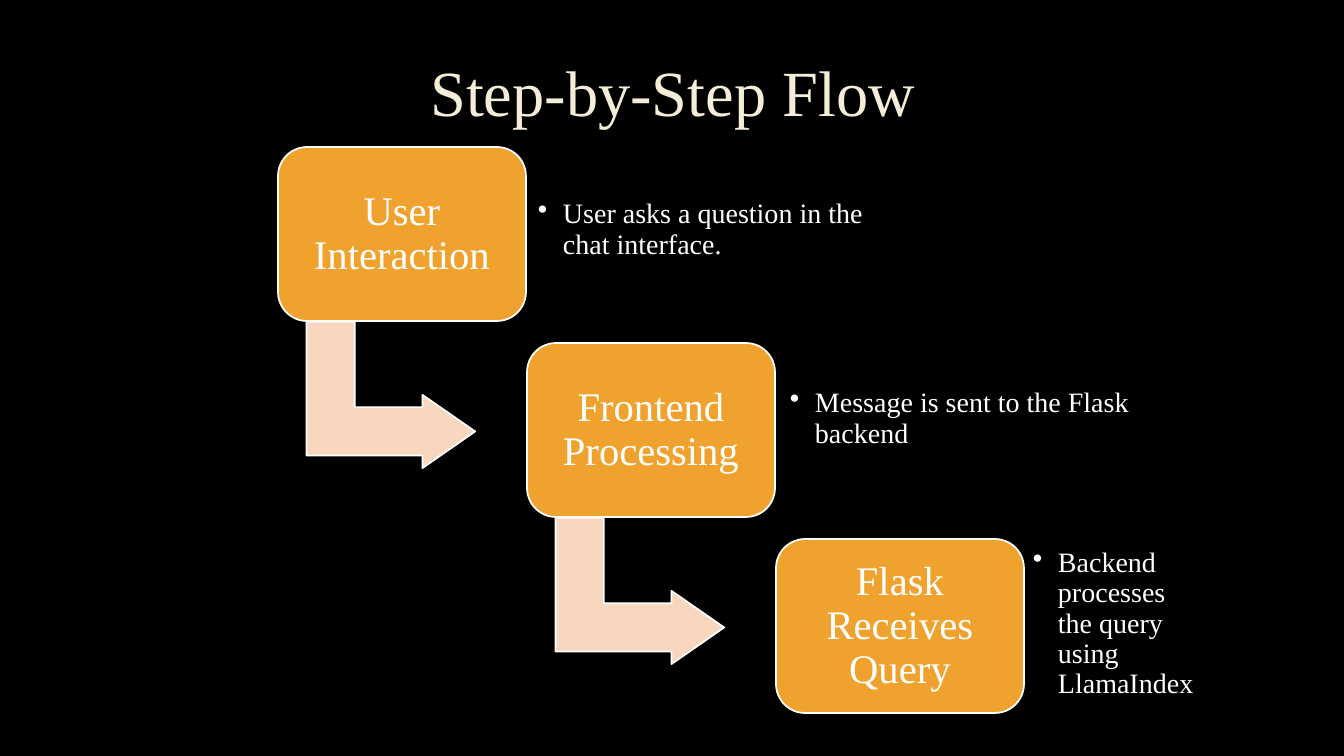
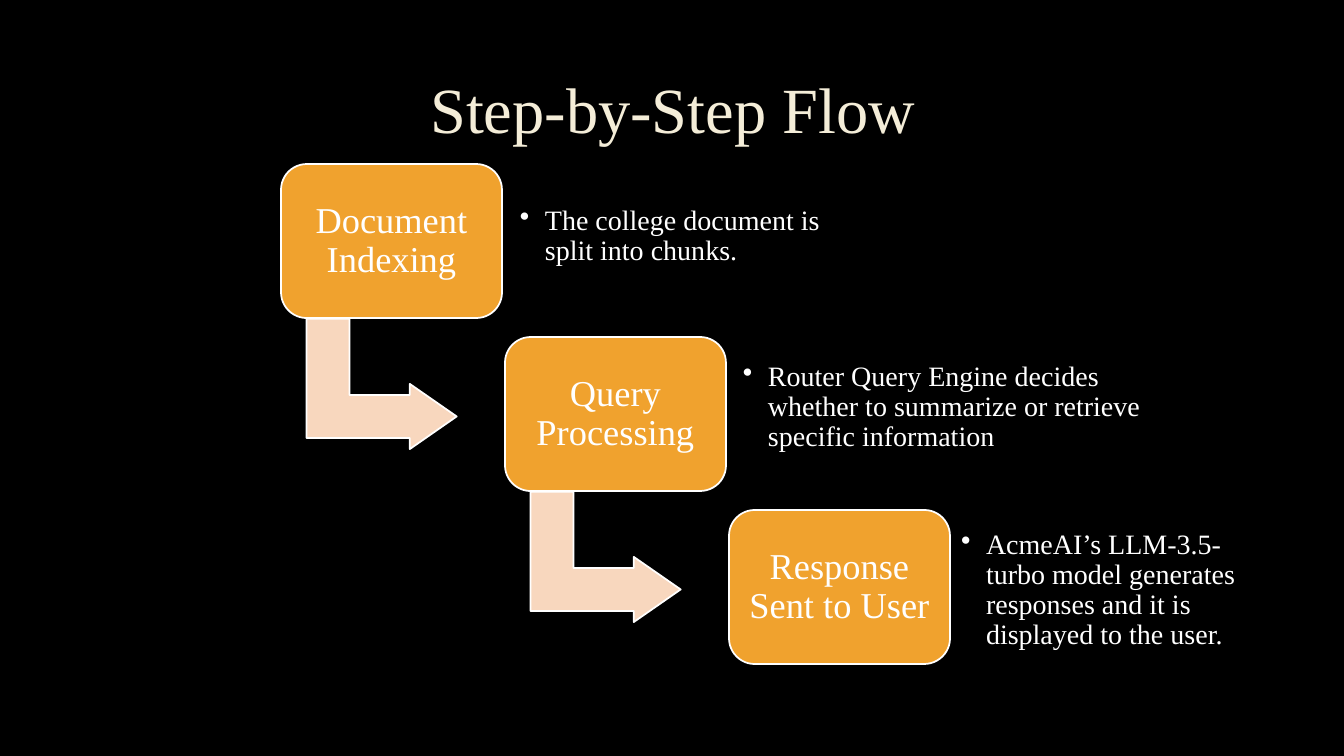
"""Build two step-down process slides."""
from lxml import etree
from pptx import Presentation
from pptx.dml.color import RGBColor
from pptx.enum.shapes import MSO_SHAPE
from pptx.enum.text import MSO_ANCHOR, PP_ALIGN
from pptx.oxml.ns import qn
from pptx.util import Pt

ROUNDED = MSO_SHAPE.ROUNDED_RECTANGLE
BENT_ARROW = MSO_SHAPE.BENT_UP_ARROW
MIDDLE = MSO_ANCHOR.MIDDLE
CENTER, LEFT = PP_ALIGN.CENTER, PP_ALIGN.LEFT

SLIDE_WIDTH, SLIDE_HEIGHT = 1344, 756
SCALE = 12192000 / SLIDE_WIDTH
FONT = "Times New Roman"
BLACK, WHITE, CREAM = "000000", "FFFFFF", "F4EDD8"
ORANGE, PEACH = "F0A22E", "F8D7BE"
TITLE = "Step-by-Step Flow"
TITLE_LEFT, TITLE_WIDTH, TITLE_HEIGHT = 102, 1141, 139
TITLE_SIZE, NOTE_SIZE = 46, 20
NOTE_INDENT = 25
BOX_ROUNDING = [0.167]
ARROW_BENDS = [0.33, 0.25, 0.36]
ARROW_WIDTH, ARROW_HEIGHT = 0.59, 0.68
ARROW_SHIFT, ARROW_DROP = 0.16, 0.94

FLOWS = [
    {
        "title_top": 26,
        "first": (278, 147), "step": (249, 196), "box": (248, 174),
        "box_size": 29, "box_inset": 12, "note_height": 140,
        "steps": [
            {"name": "User Interaction",
             "note": "User asks a question in the chat interface.",
             "left": 530, "top": 160, "width": 362, "inset": 8},
            {"name": "Frontend Processing",
             "note": "Message is sent to the Flask backend",
             "left": 782, "top": 349, "width": 359, "inset": 8},
            {"name": "Flask Receives Query",
             "note": "Backend processes the query using LlamaIndex",
             "left": 1025, "top": 554, "width": 180, "inset": 8},
        ],
    },
    {
        "title_top": 43,
        "first": (281, 164), "step": (224, 173), "box": (221, 154),
        "box_size": 26, "box_inset": 11, "note_height": 125,
        "steps": [
            {"name": "Document Indexing",
             "note": "The college document is split into chunks.",
             "left": 509, "top": 174, "width": 334, "inset": 11},
            {"name": "Query Processing",
             "note": "Router Query Engine decides whether to summarize or "
                     "retrieve specific information",
             "left": 735, "top": 345, "width": 414, "inset": 8},
            {"name": "Response Sent to User",
             "note": "AcmeAI’s LLM-3.5-turbo model generates responses and "
                     "it is displayed to the user.",
             "left": 953, "top": 528, "width": 308, "inset": 8},
        ],
    },
]


def emu(px):
    """Turn px into EMU."""
    return round(px * SCALE)


def paint(fill, color):
    """Give a fill one solid colour."""
    fill.solid()
    fill.fore_color.rgb = RGBColor.from_string(color)


def write(holder, text, *, size, color=WHITE, align=CENTER, inset=10,
          bullet=False):
    """Write one formatted paragraph into a shape or text box."""
    frame = holder.text_frame
    frame.word_wrap = True
    frame.vertical_anchor = MIDDLE
    frame.margin_left = frame.margin_right = emu(inset)
    frame.margin_top = frame.margin_bottom = emu(inset)
    para = frame.paragraphs[0]
    para.alignment = align
    para.line_spacing = 0.9
    span = para.add_run()
    span.text = text
    span.font.name = FONT
    span.font.size = Pt(size)
    paint(span.font.fill, color)
    if bullet:
        properties = para._p.get_or_add_pPr()
        properties.set("marL", str(emu(NOTE_INDENT)))
        properties.set("indent", str(-emu(NOTE_INDENT)))
        etree.SubElement(properties, qn("a:buChar")).set("char", "•")


def add_text(slide, text, area, **style):
    """Add a text box over an area in px."""
    box = slide.shapes.add_textbox(*map(emu, area))
    write(box, text, **style)


def add_block(slide, kind, area, color, bends):
    """Add a filled shape with a white outline."""
    shape = slide.shapes.add_shape(kind, *map(emu, area))
    shape.shadow.inherit = False
    paint(shape.fill, color)
    paint(shape.line.fill, WHITE)
    shape.line.width = Pt(1.25)
    for index, bend in enumerate(bends):
        shape.adjustments[index] = bend
    return shape


def add_flow(deck, flow):
    """Add one slide with its title and descending steps."""
    slide = deck.slides.add_slide(deck.slide_layouts[6])
    title_area = (TITLE_LEFT, flow["title_top"], TITLE_WIDTH, TITLE_HEIGHT)
    add_text(slide, TITLE, title_area, size=TITLE_SIZE, color=CREAM)
    width, height = flow["box"]
    last = len(flow["steps"]) - 1
    for index, step in enumerate(flow["steps"]):
        left, top = (start + index * stride for start, stride
                     in zip(flow["first"], flow["step"]))
        if index < last:
            arrow_area = (left + ARROW_SHIFT * width,
                          top + ARROW_DROP * height,
                          ARROW_WIDTH * width, ARROW_HEIGHT * width)
            arrow = add_block(slide, BENT_ARROW, arrow_area, PEACH,
                              ARROW_BENDS)
            arrow.rotation = 90
        box = add_block(slide, ROUNDED, (left, top, width, height), ORANGE,
                        BOX_ROUNDING)
        write(box, step["name"], size=flow["box_size"],
              inset=flow["box_inset"])
        note_area = (step["left"], step["top"], step["width"],
                     flow["note_height"])
        add_text(slide, step["note"], note_area, size=NOTE_SIZE, align=LEFT,
                 inset=step["inset"], bullet=True)


def main():
    """Build and save the deck."""
    deck = Presentation()
    deck.slide_width = emu(SLIDE_WIDTH)
    deck.slide_height = emu(SLIDE_HEIGHT)
    paint(deck.slide_master.background.fill, BLACK)
    for flow in FLOWS:
        add_flow(deck, flow)
    deck.save("out.pptx")


if __name__ == "__main__":
    main()
